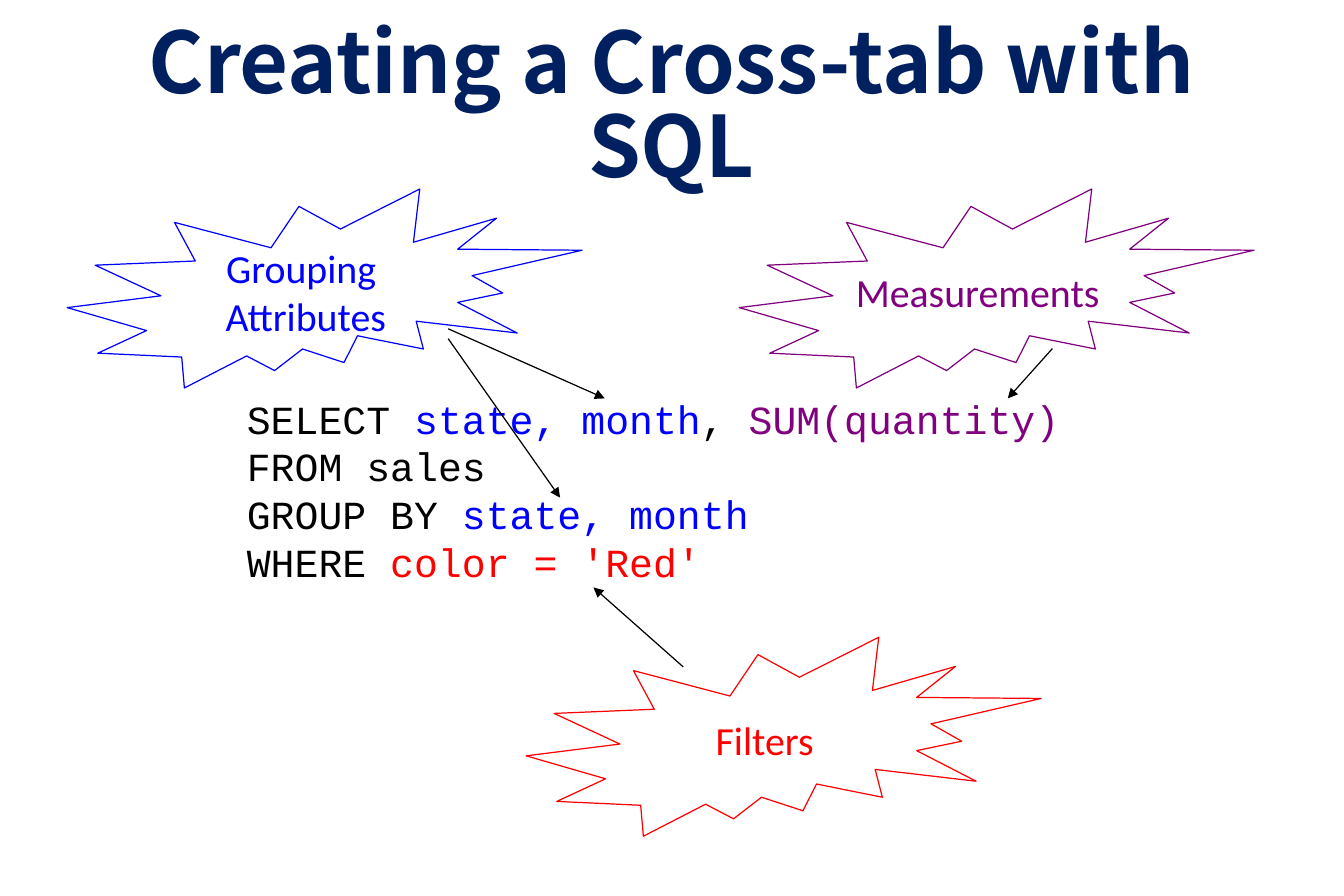
import pptx
import pptx.util
import pptx.dml.color
import pptx.enum.shapes
import pptx.enum.text
import pptx.oxml.ns
import lxml.etree
from pptx.util import Cm

BLACK, BLUE, PURPLE, RED, NAVY = "000000", "0000FF", "800080", "FF0000", "002060"
BURST_WIDTH, BURST_HEIGHT = 10.95, 4.23
UPPER_BURST_TOP, LOWER_BURST_TOP = 4.02, 13.55

QUERY = [
    [("SELECT ", BLACK), ("state, month", BLUE), (", ", BLACK), ("SUM(quantity)", PURPLE)],
    [("FROM sales", BLACK)],
    [("GROUP BY ", BLACK), ("state, month", BLUE)],
    [("WHERE ", BLACK), ("color = 'Red'", RED)],
]
BURSTS = [
    ("Grouping \vAttributes", BLUE, 1.43, UPPER_BURST_TOP),
    ("Measurements", PURPLE, 15.72, UPPER_BURST_TOP),
    ("Filters", RED, 11.19, LOWER_BURST_TOP),
]
ARROWS = [
    (9.53, 6.99, 12.86, 8.47),
    (9.53, 7.2, 11.91, 10.58),
    (22.38, 7.41, 21.43, 8.47),
    (14.53, 14.18, 12.62, 12.49),
]


def rgb(color):
    return pptx.dml.color.RGBColor.from_string(color)


def set_font(font, name, size, color=None):
    font.name = name
    font.size = pptx.util.Pt(size)
    if color:
        font.color.rgb = rgb(color)


def add_title(slide, text):
    box = slide.shapes.add_textbox(Cm(1.43), Cm(0.76), Cm(25.7), Cm(3.18))
    frame = box.text_frame
    frame.word_wrap = True
    frame.vertical_anchor = pptx.enum.text.MSO_ANCHOR.MIDDLE
    frame.margin_left = frame.margin_right = Cm(0.3)
    frame.margin_top = frame.margin_bottom = Cm(0.15)
    paragraph = frame.paragraphs[0]
    paragraph.text = text
    paragraph.alignment = pptx.enum.text.PP_ALIGN.CENTER
    paragraph.line_spacing = 0.83
    set_font(paragraph.font, "Noto Sans CJK SC", 51, NAVY)
    paragraph.font.bold = True


def add_query(slide, lines):
    """Add code lines, each a list of (text, color) pieces."""
    box = slide.shapes.add_textbox(Cm(5), Cm(8.26), Cm(17.93), Cm(4.37))
    frame = box.text_frame
    frame.word_wrap = False
    frame.auto_size = pptx.enum.text.MSO_AUTO_SIZE.SHAPE_TO_FIT_TEXT
    for index, pieces in enumerate(lines):
        paragraph = frame.add_paragraph() if index else frame.paragraphs[0]
        set_font(paragraph.font, "Courier New", 24)
        for text, color in pieces:
            run = paragraph.add_run()
            run.text = text
            run.font.color.rgb = rgb(color)


def add_burst(slide, text, color, left, top):
    shape = slide.shapes.add_shape(
        pptx.enum.shapes.MSO_SHAPE.EXPLOSION2,
        Cm(left), Cm(top), Cm(BURST_WIDTH), Cm(BURST_HEIGHT))
    shape.shadow.inherit = False
    shape.fill.background()
    shape.line.color.rgb = rgb(color)
    shape.line.width = pptx.util.Pt(0.75)
    frame = shape.text_frame
    frame.word_wrap = False
    frame.vertical_anchor = pptx.enum.text.MSO_ANCHOR.MIDDLE
    paragraph = frame.paragraphs[0]
    paragraph.text = text
    paragraph.alignment = pptx.enum.text.PP_ALIGN.CENTER
    set_font(paragraph.font, "Calibri", 24, color)


def add_arrow(slide, *ends):
    connector = slide.shapes.add_connector(
        pptx.enum.shapes.MSO_CONNECTOR.STRAIGHT, *map(Cm, ends))
    connector.line.color.rgb = rgb(BLACK)
    connector.line.width = pptx.util.Pt(0.75)
    qualified = pptx.oxml.ns.qn
    line = connector.line._get_or_add_ln()
    lxml.etree.SubElement(line, qualified("a:tailEnd"), type="triangle")
    lxml.etree.SubElement(connector._element.spPr, qualified("a:effectLst"))


def main():
    presentation = pptx.Presentation()
    presentation.slide_width = Cm(28.58)
    presentation.slide_height = Cm(19.05)
    slide = presentation.slides.add_slide(presentation.slide_layouts[6])
    add_title(slide, "Creating a Cross-tab with SQL")
    add_query(slide, QUERY)
    for burst in BURSTS:
        add_burst(slide, *burst)
    for arrow in ARROWS:
        add_arrow(slide, *arrow)
    presentation.save("out.pptx")


if __name__ == "__main__":
    main()
